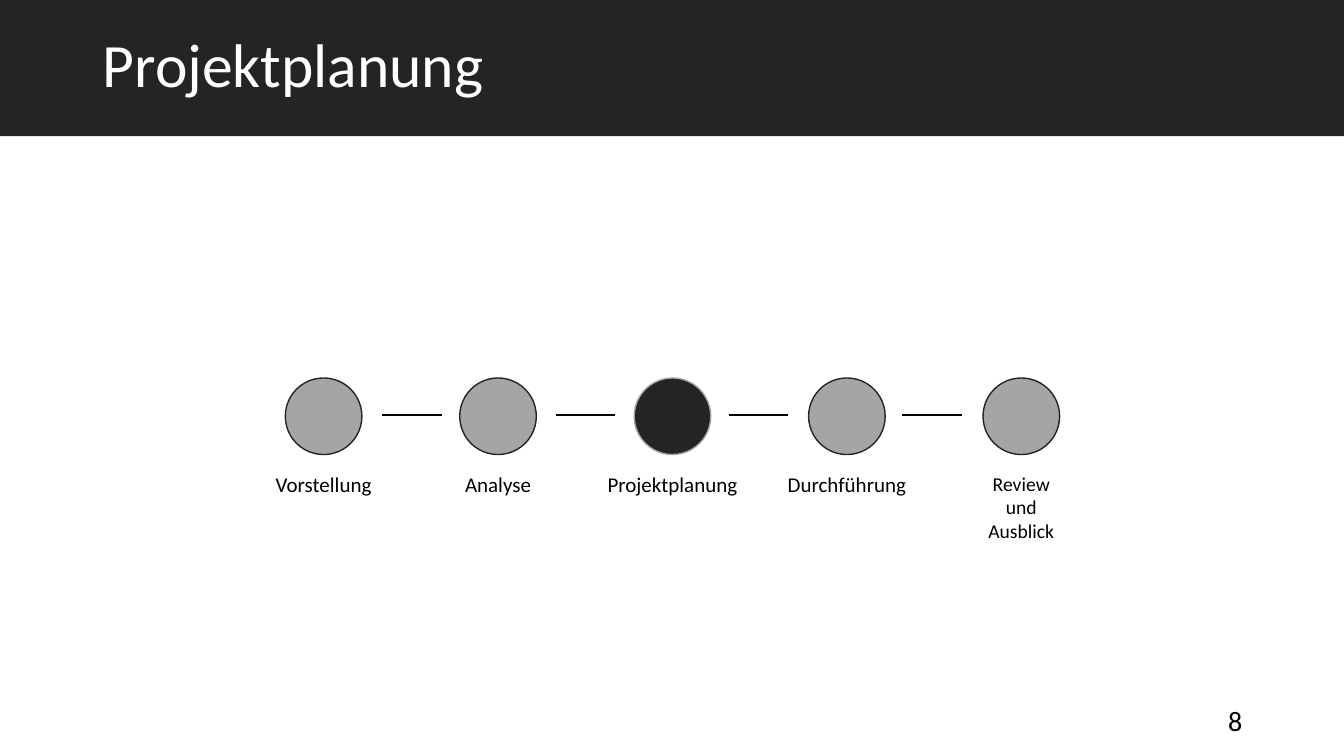
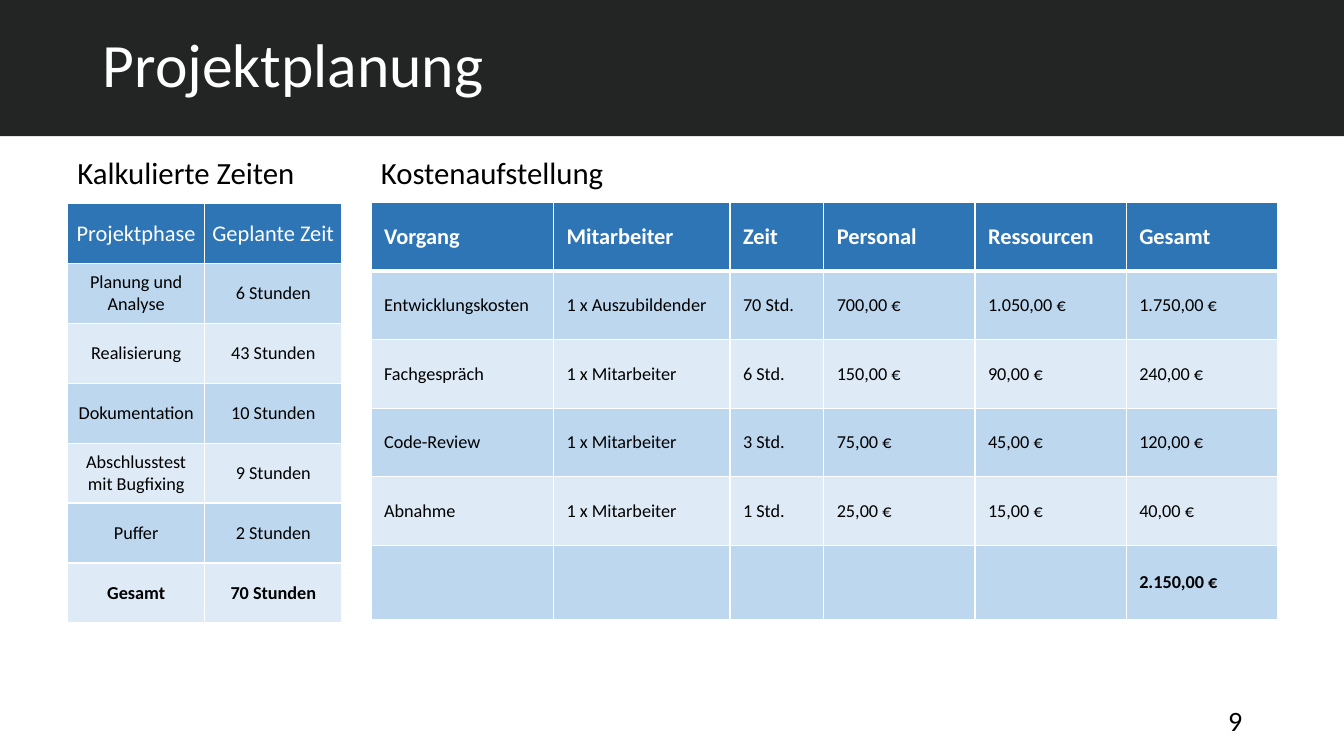
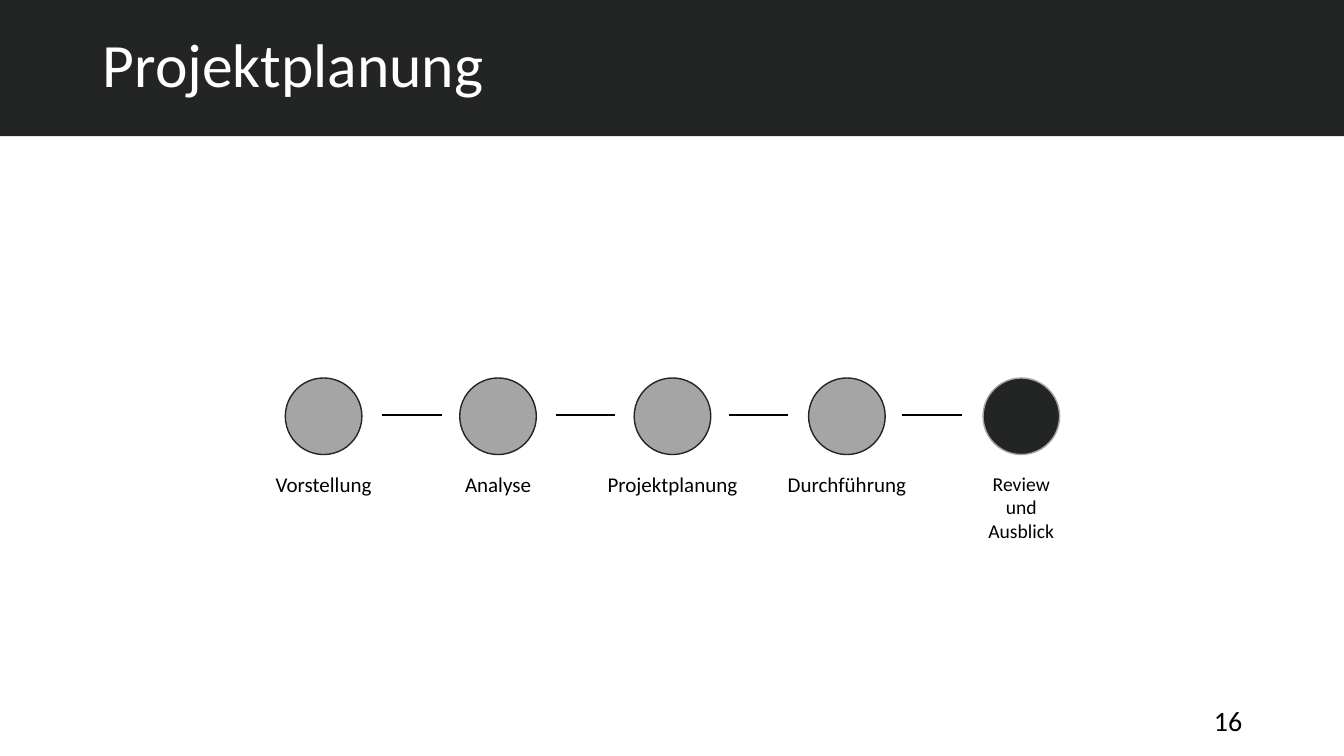
import pptx
import pptx.util
import pptx.dml.color
import pptx.enum.shapes
import pptx.enum.text
import pptx.oxml
import pptx.oxml.ns

Inches = pptx.util.Inches
ALIGN = pptx.enum.text.PP_ALIGN
MIDDLE = pptx.enum.text.MSO_ANCHOR.MIDDLE
SHAPE = pptx.enum.shapes.MSO_SHAPE

WIDTH, HEIGHT = 13.33, 7.5
FONT = "Calibri"
DARK, GREY, WHITE, BLACK = "232524", "A5A5A5", "FFFFFF", "000000"
HEADER, BANDS = "2E75B6", ("BDD7EE", "DEEBF7")
TITLE = "Projektplanung"

PHASES = [
    ("Vorstellung", 15),
    ("Analyse", 15),
    ("Projektplanung", 15),
    ("Durchführung", 15),
    ("Review\nund\nAusblick", 14),
]
PITCH, CIRCLE_LEFT, CIRCLE_TOP, CIRCLE_SIZE = 1.73, 2.83, 3.75, 0.76
LINK_PITCH, LINK_LEFT, LINK_TOP, LINK_LENGTH = 1.72, 3.79, 4.12, 0.59
LABEL_TOP, LABEL_WIDTH = 4.63, 1.7

TIMES = {
    "heading": "Kalkulierte Zeiten",
    "left": 0.67, "top": 2.02,
    "columns": [1.36] * 2,
    "rows": [4.16 / 7] * 7,
    "margins": (0.05, 0.03),
    "align": ALIGN.CENTER,
    "header_bold": False, "header_rule": 1,
    "cells": [
        ("Projektphase", "Geplante Zeit"),
        ("Planung und Analyse", "6 Stunden"),
        ("Realisierung", "43 Stunden"),
        ("Dokumentation", "10 Stunden"),
        ("Abschlusstest mit Bugfixing", "9 Stunden"),
        ("Puffer", "2 Stunden"),
        ("Gesamt", "70 Stunden"),
    ],
}
COSTS = {
    "heading": "Kostenaufstellung",
    "left": 3.68, "top": 2.01,
    "columns": [1.81, 1.75, 0.93] + [1.5] * 3,
    "rows": [0.68] * 5 + [0.74],
    "margins": (0.13, 0.07),
    "align": ALIGN.LEFT,
    "header_bold": True, "header_rule": 3,
    "cells": [
        ("Vorgang", "Mitarbeiter", "Zeit", "Personal", "Ressourcen", "Gesamt"),
        ("Entwicklungskosten", "1 x Auszubildender", "70 Std.", "700,00 €", "1.050,00 €", "1.750,00 €"),
        ("Fachgespräch", "1 x Mitarbeiter", "6 Std.", "150,00 €", "90,00 €", "240,00 €"),
        ("Code-Review", "1 x Mitarbeiter", "3 Std.", "75,00 €", "45,00 €", "120,00 €"),
        ("Abnahme", "1 x Mitarbeiter", "1 Std.", "25,00 €", "15,00 €", "40,00 €"),
        ("", "", "", "", "", "2.150,00 €"),
    ],
}


def paint(target, colour):
    if hasattr(target, "solid"):
        target.solid()
        target = target.fore_color
    target.rgb = pptx.dml.color.RGBColor.from_string(colour)


def write(frame, text, size, colour=BLACK, align=ALIGN.LEFT, bold=False):
    frame.text = text
    for para in frame.paragraphs:
        para.alignment = align
        for span in para.runs:
            span.font.name = FONT
            span.font.size = pptx.util.Pt(size)
            span.font.bold = bold
            paint(span.font.color, colour)


def add_label(page, area, text, size, align=ALIGN.LEFT):
    box = page.shapes.add_textbox(*map(Inches, area))
    box.text_frame.word_wrap = True
    write(box.text_frame, text, size, align=align)
    return box


def add_filled(page, kind, area, fill, outline=None):
    shape = page.shapes.add_shape(kind, *map(Inches, area))
    shape.shadow.inherit = False
    paint(shape.fill, fill)
    if outline:
        paint(shape.line.color, outline)
        shape.line.width = pptx.util.Pt(1)
    else:
        shape.line.fill.background()
    return shape


def add_page(deck, number):
    page = deck.slides.add_slide(deck.slide_layouts[5])
    band = add_filled(page, SHAPE.RECTANGLE, (0, 0, WIDTH, 1.35), DARK)
    title = page.shapes.title
    title._element.addprevious(band._element)
    title.left, title.top, title.width, title.height = map(Inches, (0.92, 0.2, 11.5, 0.95))
    title.text_frame.auto_size = pptx.enum.text.MSO_AUTO_SIZE.NONE
    title.text_frame.vertical_anchor = MIDDLE
    write(title.text_frame, TITLE, 44, WHITE)
    title.text_frame.paragraphs[0].line_spacing = 0.9
    footer = add_label(page, (9.42, 6.95, 3, 0.4), str(number), 20, ALIGN.RIGHT)
    footer.text_frame.vertical_anchor = MIDDLE
    return page


def add_link(page, left):
    link = page.shapes.add_connector(
        pptx.enum.shapes.MSO_CONNECTOR.STRAIGHT,
        *map(Inches, (left, LINK_TOP, left + LINK_LENGTH, LINK_TOP)))
    paint(link.line.color, BLACK)
    link.line.width = pptx.util.Pt(1.5)
    link._element.spPr.append(pptx.oxml.parse_xml(
        f"<a:effectLst {pptx.oxml.ns.nsdecls('a')}/>"))


def add_timeline(page, current):
    for index, (name, size) in enumerate(PHASES):
        left = CIRCLE_LEFT + index * PITCH
        fill, outline = (DARK, GREY) if name == current else (GREY, DARK)
        add_filled(page, SHAPE.FLOWCHART_CONNECTOR,
                   (left, CIRCLE_TOP, CIRCLE_SIZE, CIRCLE_SIZE), fill, outline)
        label_left = left + (CIRCLE_SIZE - LABEL_WIDTH) / 2
        height = 0.35 * len(name.splitlines())
        add_label(page, (label_left, LABEL_TOP, LABEL_WIDTH, height), name, size, ALIGN.CENTER)
    for index in range(len(PHASES) - 1):
        add_link(page, LINK_LEFT + index * LINK_PITCH)


def add_borders(cell, top, bottom):
    properties = cell._tc.get_or_add_tcPr()
    for side, width in (("L", 1), ("R", 1), ("T", top), ("B", bottom)):
        properties.append(pptx.oxml.parse_xml(
            f'<a:ln{side} {pptx.oxml.ns.nsdecls("a")} w="{width * 12700}">'
            f'<a:solidFill><a:srgbClr val="{WHITE}"/></a:solidFill></a:ln{side}>'))


def add_grid(page, data):
    left, columns, rows = data["left"], data["columns"], data["rows"]
    add_label(page, (left, 1.48, 2.64, 0.47), data["heading"], 22)
    area = (left, data["top"], sum(columns), sum(rows))
    table = page.shapes.add_table(len(rows), len(columns), *map(Inches, area)).table
    for column, width in zip(table.columns, columns):
        column.width = Inches(width)
    for row, height in zip(table.rows, rows):
        row.height = Inches(height)
    side, edge = map(Inches, data["margins"])
    rule = data["header_rule"]
    for number, texts in enumerate(data["cells"]):
        header, last = number == 0, number == len(rows) - 1
        for cell, text in zip(table.rows[number].cells, texts):
            cell.margin_left = cell.margin_right = side
            cell.margin_top = cell.margin_bottom = edge
            cell.vertical_anchor = MIDDLE
            add_borders(cell, rule if number == 1 else 1, rule if header else 1)
            paint(cell.fill, HEADER if header else BANDS[(number - 1) % 2])
            write(cell.text_frame, text, 16 if header else 13, WHITE if header else BLACK,
                  data["align"], data["header_bold"] if header else last)


def main():
    deck = pptx.Presentation()
    deck.slide_width, deck.slide_height = Inches(WIDTH), Inches(HEIGHT)
    add_timeline(add_page(deck, 8), PHASES[2][0])
    plan = add_page(deck, 9)
    for data in (TIMES, COSTS):
        add_grid(plan, data)
    add_timeline(add_page(deck, 16), PHASES[4][0])
    deck.save("out.pptx")


if __name__ == "__main__":
    main()
